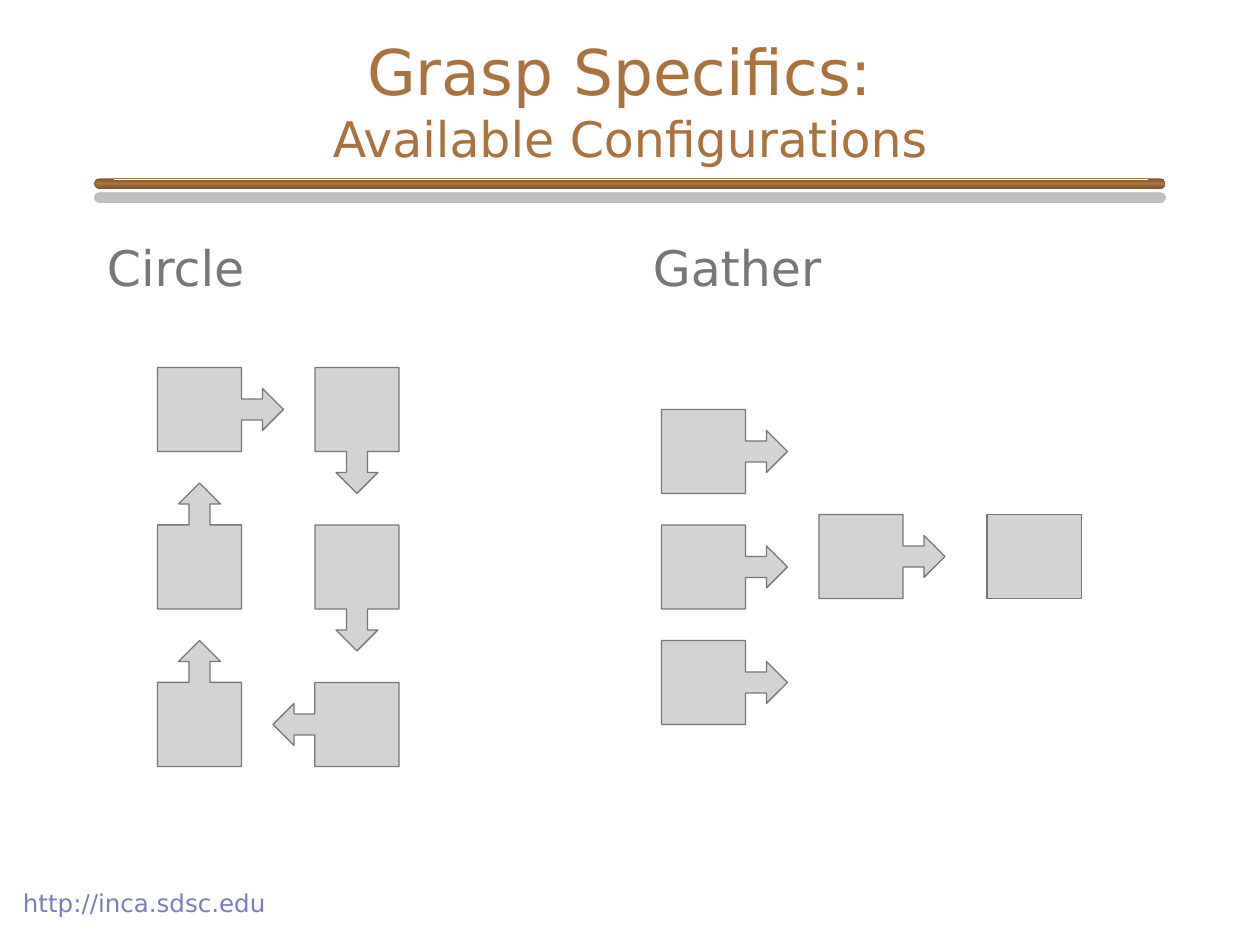
from dataclasses import dataclass

from lxml import etree
from pptx import Presentation
from pptx.dml.color import RGBColor
from pptx.enum.shapes import MSO_SHAPE
from pptx.enum.text import MSO_ANCHOR, MSO_AUTO_SIZE, PP_ALIGN
from pptx.oxml.ns import qn
from pptx.util import Inches, Pt

RECT, ROUNDED = MSO_SHAPE.RECTANGLE, MSO_SHAPE.ROUNDED_RECTANGLE
RIGHT, LEFT = MSO_SHAPE.RIGHT_ARROW_CALLOUT, MSO_SHAPE.LEFT_ARROW_CALLOUT
UP, DOWN = MSO_SHAPE.UP_ARROW_CALLOUT, MSO_SHAPE.DOWN_ARROW_CALLOUT
MIDDLE, CENTER, NO_FIT = MSO_ANCHOR.MIDDLE, PP_ALIGN.CENTER, MSO_AUTO_SIZE.NONE
TITLE_ONLY = 5
COLS, ROWS = 120, 90
CELL = Inches(10) / COLS
BOX, CALLOUT = 8, 12


@dataclass(frozen=True)
class Theme:
    """Colours, font and type sizes of the slide."""
    font: str = "DejaVu Sans"
    brown: str = "A8733E"
    dark_brown: str = "7C542D"
    white: str = "FFFFFF"
    grey: str = "777777"
    light_grey: str = "D3D3D3"
    shadow: str = "808080"
    link: str = "7780BF"
    title: int = 36
    heading: int = 28
    footer: int = 14


THEME = Theme()


def emu(*cells):
    """Convert grid cells to slide lengths."""
    return [round(c * CELL) for c in cells]


def style(font, size, color):
    """Apply the theme font with a size and colour."""
    font.name, font.size = THEME.font, Pt(size)
    font.color.rgb = RGBColor.from_string(color)


def add_label(slide, box, text, size, color):
    """Add a one-line text box."""
    tf = slide.shapes.add_textbox(*emu(*box)).text_frame
    tf.word_wrap = True
    p = tf.paragraphs[0]
    p.text = text
    style(p.font, size, color)


def add_block(slide, box, shape):
    """Add a grey outlined block or arrow callout."""
    s = slide.shapes.add_shape(shape, *emu(*box))
    s.shadow.inherit = False
    s.fill.solid()
    s.fill.fore_color.rgb = RGBColor.from_string(THEME.light_grey)
    s.line.color.rgb = RGBColor.from_string(THEME.grey)
    s.line.width = Pt(0.75)
    if shape != RECT:
        for i, value in enumerate((0.25, 0.25, 0.25, 0.667)):
            s.adjustments[i] = value


def add_bar(slide, box, edge, middle):
    """Add a rounded bar shaded from its edges to its middle."""
    s = slide.shapes.add_shape(ROUNDED, *emu(*box))
    s.adjustments[0] = 0.5
    s.shadow.inherit = False
    s.line.fill.background()
    s.fill.gradient()
    s.fill.gradient_angle = 90
    stops = next(s.element.spPr.iter(qn("a:gsLst")))
    stops.clear()
    for pos, color in ((0, edge), (50000, middle), (100000, edge)):
        stop = etree.SubElement(stops, qn("a:gs"), pos=str(pos))
        etree.SubElement(stop, qn("a:srgbClr"), val=color)
    return s


def add_title(slide, box):
    """Fill the title placeholder with a large and a smaller line."""
    s = slide.shapes.title
    s.left, s.top, s.width, s.height = emu(*box)
    tf = s.text_frame
    tf.auto_size, tf.vertical_anchor, tf.word_wrap = NO_FIT, MIDDLE, True
    p = tf.paragraphs[0]
    p.alignment = CENTER
    style(p.font, THEME.title, THEME.brown)
    p.add_run().text = "Grasp Specifics: "
    p.add_line_break()
    r = p.add_run()
    r.text = "Available Configurations"
    r.font.size = Pt(THEME.heading)


def add_rule(slide, box):
    """Draw the shadowed brown rule with its highlight."""
    x, y, w, h = box
    s = add_bar(slide, box, THEME.dark_brown, THEME.brown)
    effects = s.element.spPr.find(qn("a:effectLst"))
    shadow = etree.SubElement(effects, qn("a:outerShdw"), blurRad="0",
                              dist=str(Pt(8)), dir="5400000")
    color = etree.SubElement(shadow, qn("a:srgbClr"), val=THEME.shadow)
    etree.SubElement(color, qn("a:alpha"), val="50000")
    add_bar(slide, (x + 1.9, y, w - 3.6, 0.15), THEME.brown, THEME.white)


def add_circle(slide, box):
    """Draw six callouts passing round a two by three grid."""
    x, y, w, h = box
    add_label(slide, box, "Circle", THEME.heading, THEME.grey)
    left, right, top, step = x + 6, x + 21, y + 13, 15
    tail = CALLOUT - BOX
    add_block(slide, (left, top, CALLOUT, BOX), RIGHT)
    for row in (0, 1):
        add_block(slide, (right, top + row * step, BOX, CALLOUT), DOWN)
    add_block(slide, (right - tail, top + 2 * step, CALLOUT, BOX), LEFT)
    for row in (2, 1):
        add_block(slide, (left, top + row * step - tail, BOX, CALLOUT), UP)


def add_gather(slide, box):
    """Draw three callouts that feed one callout and a final block."""
    x, y, w, h = box
    add_label(slide, box, "Gather", THEME.heading, THEME.grey)
    left, top, step = x + 2, y + 17, 11
    for row in range(3):
        add_block(slide, (left, top + row * step, CALLOUT, BOX), RIGHT)
    add_block(slide, (left + 15, top + 10, CALLOUT, BOX), RIGHT)
    add_block(slide, (left + 31, top + 10, BOX + 1, BOX), RECT)


def main():
    """Build and save the slide."""
    prs = Presentation()
    prs.slide_width, prs.slide_height = emu(COLS, ROWS)
    slide = prs.slides.add_slide(prs.slide_layouts[TITLE_ONLY])
    add_rule(slide, (9, 17, 102, 1))
    add_label(slide, (1, 84, 28, 3), "http://inca.sdsc.edu",
              THEME.footer, THEME.link)
    add_title(slide, (11, 4, 98, 11))
    add_circle(slide, (9, 22, 50, 59))
    add_gather(slide, (61, 22, 50, 59))
    prs.save("out.pptx")


if __name__ == "__main__":
    main()
